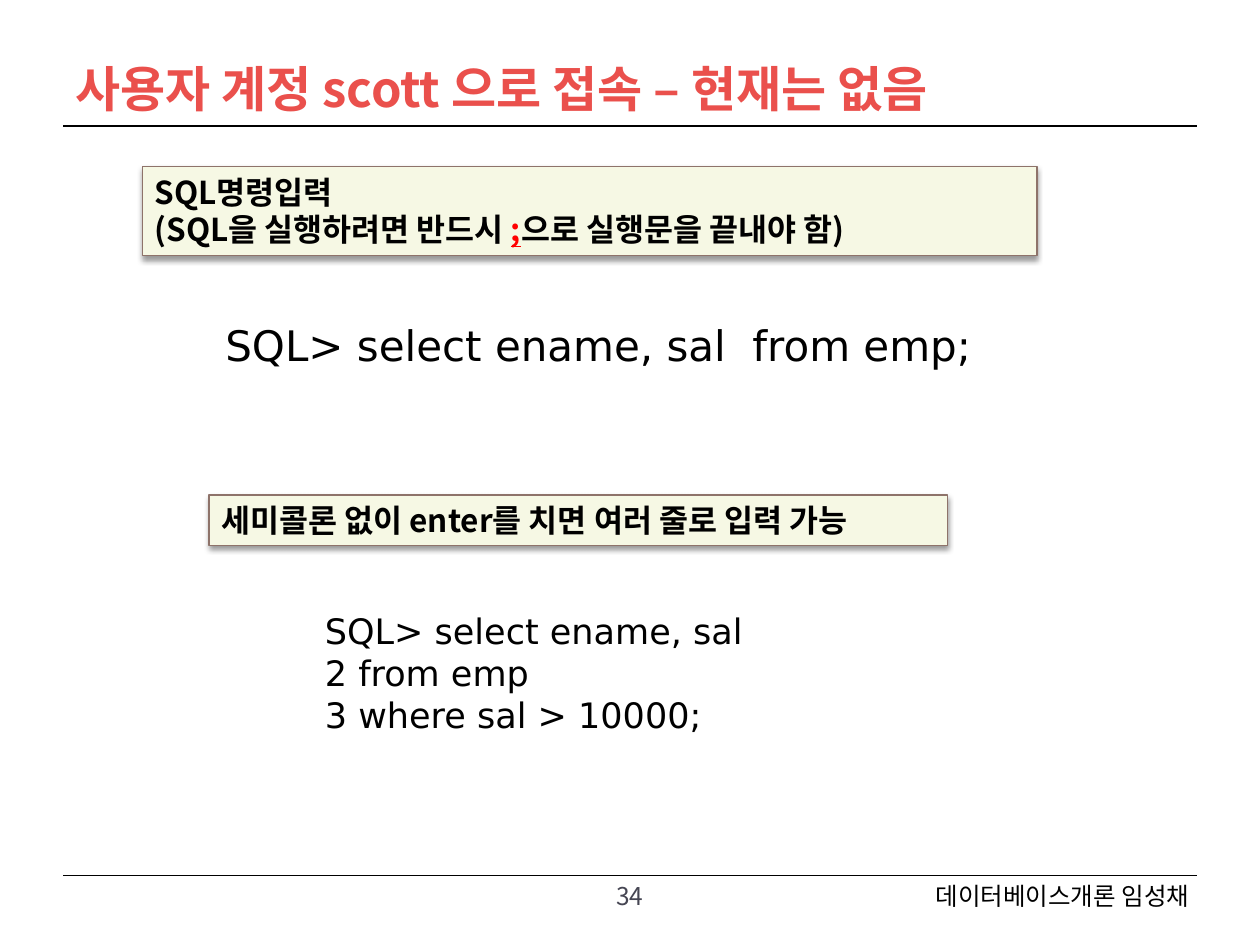
"""Build the slide on entering SQL commands from a user account."""
import pptx
import pptx.dml.color
import pptx.enum.shapes
import pptx.enum.text
import pptx.oxml
import pptx.oxml.ns
import pptx.util

Inches = pptx.util.Inches
Pt = pptx.util.Pt
RGBColor = pptx.dml.color.RGBColor
ALIGN = pptx.enum.text.PP_ALIGN
ANCHOR = pptx.enum.text.MSO_ANCHOR

BLACK = RGBColor(0x00, 0x00, 0x00)
RED = RGBColor(0xFF, 0x00, 0x00)
CORAL = RGBColor(0xEA, 0x50, 0x4C)
SLATE = RGBColor(0x46, 0x46, 0x53)
CREAM = RGBColor(0xF6, 0xF8, 0xE4)
BROWN = RGBColor(0x8E, 0x73, 0x6A)
KOREAN = "Noto Sans CJK KR"
CODE = "DejaVu Sans"
SHADOW = (
    '<a:effectLst %s><a:outerShdw blurRad="38100" dist="25400" dir="5400000" rotWithShape="0">'
    '<a:srgbClr val="000000"><a:alpha val="40000"/></a:srgbClr></a:outerShdw></a:effectLst>'
    % pptx.oxml.ns.nsdecls("a")
)


def write_text(shape, lines, size, font, color=BLACK, bold=False, align=ALIGN.LEFT, anchor=ANCHOR.TOP):
    """Fill a shape with lines, each a list of run texts; a lone semicolon is marked."""
    frame = shape.text_frame
    frame.word_wrap = True
    frame.vertical_anchor = anchor
    for index, line in enumerate(lines):
        paragraph = frame.add_paragraph() if index else frame.paragraphs[0]
        paragraph.alignment = align
        for text in line:
            run = paragraph.add_run()
            run.text = text
            run.font.size = Pt(size)
            run.font.name = font
            run.font.bold = bold
            run.font.color.rgb = RED if text == ";" else color
            run.font.underline = text == ";"
            east_asian = pptx.oxml.parse_xml('<a:ea %s typeface="%s"/>' % (pptx.oxml.ns.nsdecls("a"), font))
            run.font._element.find(pptx.oxml.ns.qn("a:latin")).addnext(east_asian)


presentation = pptx.Presentation()
presentation.slide_width = Inches(10)
presentation.slide_height = Inches(7.5)
slide = presentation.slides.add_slide(presentation.slide_layouts[6])
shapes = slide.shapes

for y in (6.95, 1):
    rule = shapes.add_connector(
        pptx.enum.shapes.MSO_CONNECTOR.STRAIGHT, Inches(0.5), Inches(y), Inches(9.5), Inches(y)
    )
    rule.line.color.rgb = BLACK
    rule.line.width = Pt(0.75)
    rule._element.spPr.append(pptx.oxml.parse_xml("<a:effectLst %s/>" % pptx.oxml.ns.nsdecls("a")))

footer = shapes.add_textbox(Inches(5.71), Inches(6.94), Inches(3.83), Inches(0.4))
write_text(footer, [["데이터베이스개론 임성채"]], 14, KOREAN, align=ALIGN.RIGHT)

page_number = shapes.add_textbox(Inches(4.7), Inches(6.94), Inches(0.6), Inches(0.4))
write_text(page_number, [["34"]], 14, KOREAN, SLATE, align=ALIGN.CENTER)

title = shapes.add_textbox(Inches(0.5), Inches(0.33), Inches(9), Inches(0.65))
write_text(title, [["사용자 계정 scott 으로 접속 – 현재는 없음"]], 28, KOREAN, CORAL, True, anchor=ANCHOR.BOTTOM)

notes = [
    (1.13, 1.32, 7.1, 0.71, [["SQL명령입력"], ["(SQL을 실행하려면 반드시 ", ";", "으로 실행문을 끝내야 함)"]]),
    (1.66, 3.93, 5.86, 0.4, [["세미콜론 없이 enter를 치면 여러 줄로 입력 가능"]]),
]
for left, top, width, height, lines in notes:
    note = shapes.add_shape(
        pptx.enum.shapes.MSO_SHAPE.RECTANGLE, Inches(left), Inches(top), Inches(width), Inches(height)
    )
    note.fill.solid()
    note.fill.fore_color.rgb = CREAM
    note.line.color.rgb = BROWN
    note.line.width = Pt(0.75)
    note._element.spPr.append(pptx.oxml.parse_xml(SHADOW))
    write_text(note, lines, 18, KOREAN, bold=True)

queries = [
    (1.69, 2.49, 6.39, 0.5, 24, [["SQL> select ename, sal  from emp;"]]),
    (2.48, 4.79, 3.75, 1.11, 20, [["SQL> select ename, sal"], ["2 from emp"], ["3 where sal > 10000;"]]),
]
for left, top, width, height, size, lines in queries:
    query = shapes.add_textbox(Inches(left), Inches(top), Inches(width), Inches(height))
    write_text(query, lines, size, CODE)

presentation.save("out.pptx")
